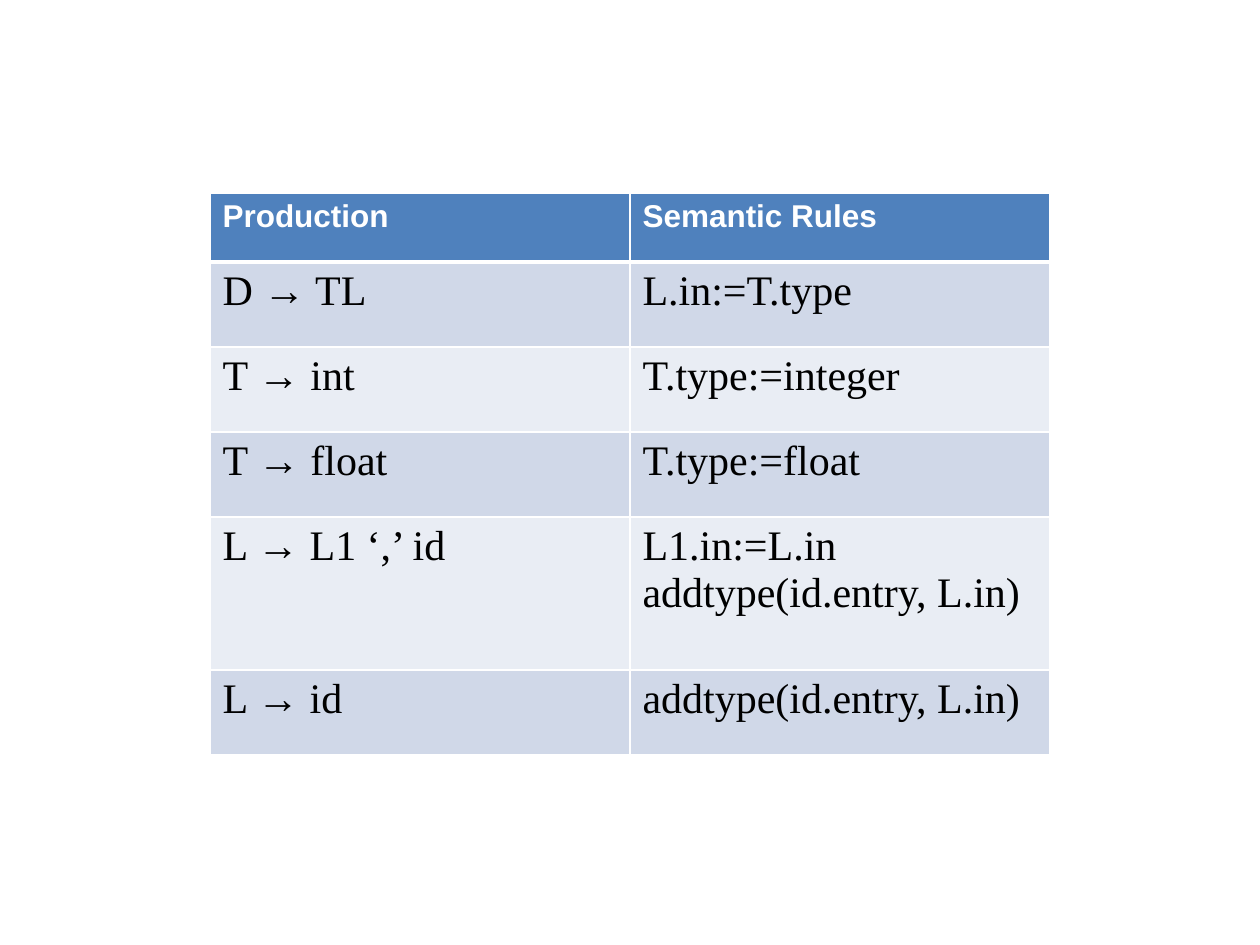
"""Build a slide with a table of grammar productions and their semantic rules."""
from typing import NamedTuple

from lxml.etree import SubElement as Sub
from pptx import Presentation as Deck
from pptx.dml.color import RGBColor as Rgb
from pptx.oxml.ns import qn
from pptx.util import Pt

PX = 914400 / 126
WHITE = "FFFFFF"
HEAD = {"name": "Arial", "size": Pt(18), "bold": True}
BODY = {"name": "Times New Roman", "size": Pt(24), "bold": False}
BANDS = ("E9EDF4", "D0D8E8")


class Row(NamedTuple):
    """One table row: its height in px and its two texts."""
    high: int
    left: str
    right: str


ROWS = (
    Row(69, "Production", "Semantic Rules"),
    Row(85, "D → TL", "L.in:=T.type"),
    Row(85, "T → int", "T.type:=integer"),
    Row(85, "T → float", "T.type:=float"),
    Row(153, "L → L1 ‘,’ id", "L1.in:=L.in\naddtype(id.entry, L.in)"),
    Row(85, "L → id", "addtype(id.entry, L.in)"),
)


def emu(px: int) -> int:
    """Turn px into EMU."""
    return round(px * PX)


def paint(fill, tint: str) -> None:
    """Make a fill solid in a hex colour."""
    fill.solid()
    fill.fore_color.rgb = Rgb.from_string(tint)


def edge(cell, tag: str, wide: int) -> None:
    """Draw one white border of a cell, with its width in points."""
    line = Sub(cell._tc.get_or_add_tcPr(), qn(f"a:{tag}"), w=str(Pt(wide)))
    Sub(Sub(line, qn("a:solidFill")), qn("a:srgbClr"), val=WHITE)


def draw(cell, text: str, at: int) -> None:
    """Fill one cell of the row numbered at."""
    head = at == 0
    for tag, thick in (("lnL", None), ("lnR", None), ("lnT", 1), ("lnB", 0)):
        edge(cell, tag, 3 if at == thick else 1)
    paint(cell.fill, "4F81BD" if head else BANDS[at % 2])
    cell.text = text
    for para in cell.text_frame.paragraphs:
        for run in para.runs:
            for key, value in (HEAD if head else BODY).items():
                setattr(run.font, key, value)
            run.font.color.rgb = Rgb.from_string(WHITE if head else "000000")


def main() -> None:
    """Build and save the slide."""
    deck = Deck()
    deck.slide_width, deck.slide_height = emu(1260), emu(945)
    slide = deck.slides.add_slide(deck.slide_layouts[6])
    high = sum(row.high for row in ROWS)
    frame = slide.shapes.add_table(
        len(ROWS), 2, emu(210), emu(193), emu(840), emu(high))
    table = frame.table
    for col in table.columns:
        col.width = emu(420)
    for at, row in enumerate(ROWS):
        table.rows[at].height = emu(row.high)
        for col, text in enumerate((row.left, row.right)):
            draw(table.cell(at, col), text, at)
    deck.save("out.pptx")


if __name__ == "__main__":
    main()
